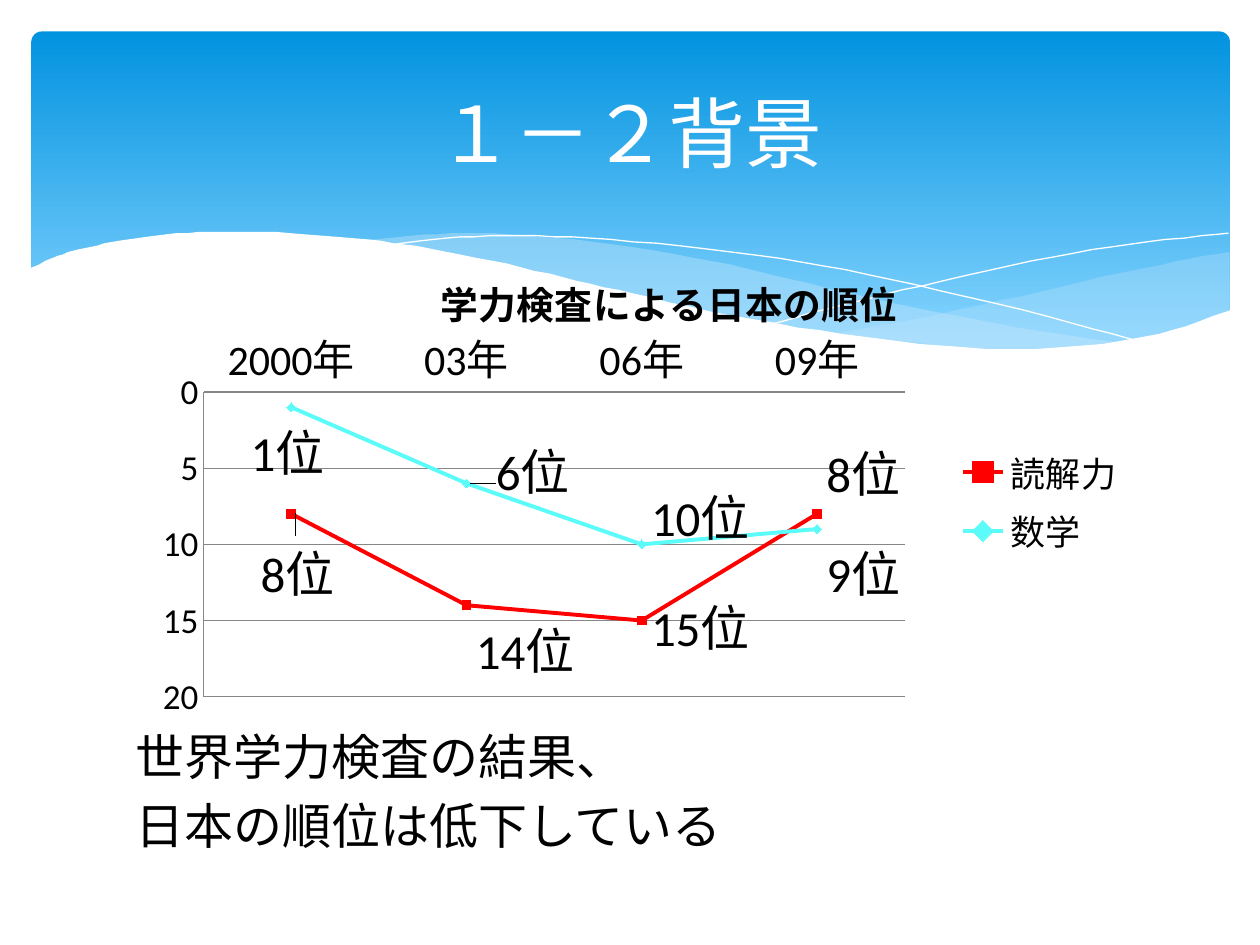
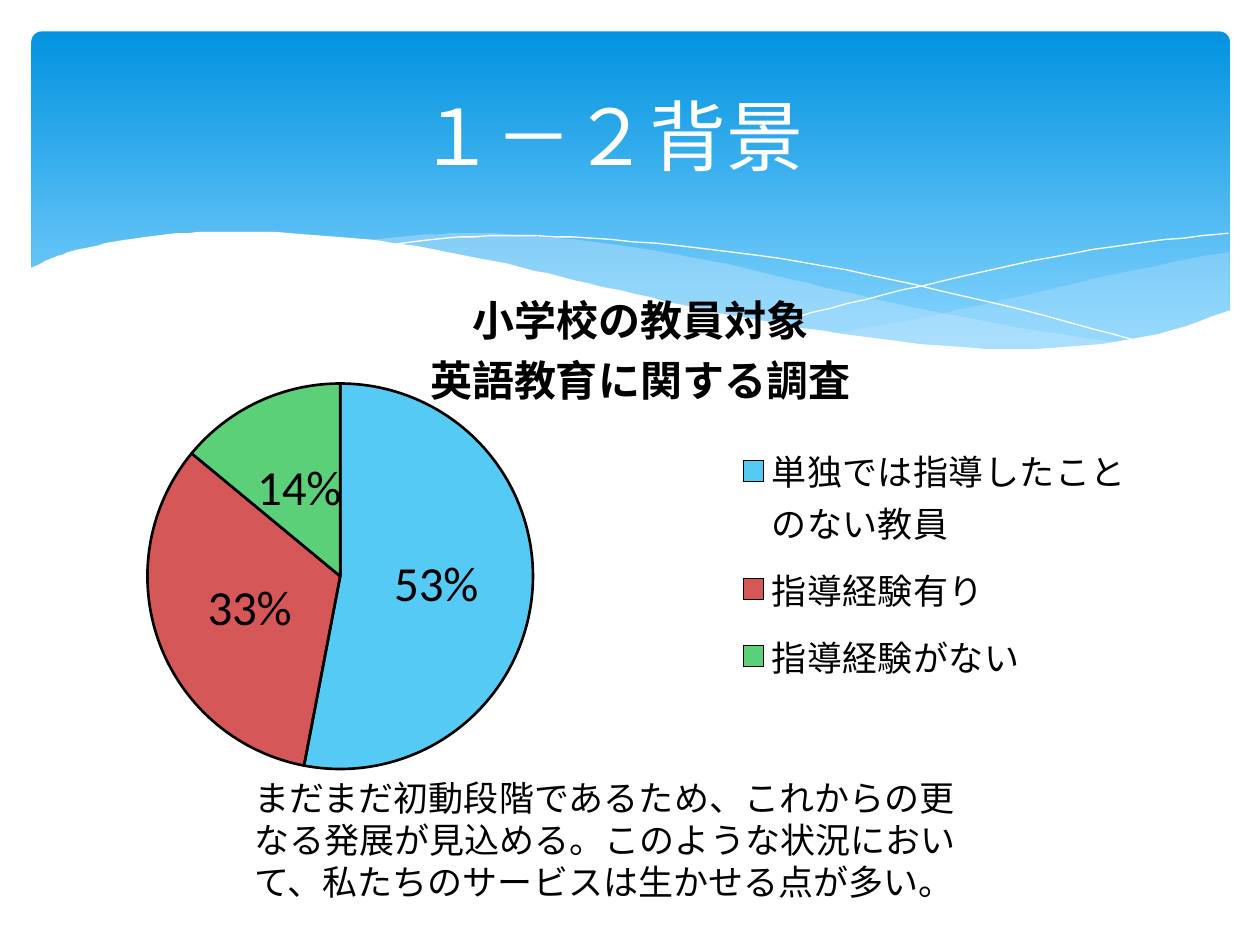
from lxml import etree
from pptx import Presentation
from pptx import util as u
from pptx.chart import data as cd
from pptx.dml import color as dc
from pptx.enum import chart as ec
from pptx.enum import shapes, text
from pptx.oxml import ns

SCALE = 9144
FONT = "Calibri"
BLACK, WHITE, GREY = "000000", "FFFFFF", "878787"
SKY, PALE, MIST = "0293E0", "83D3FE", "C6E7FC"
RED, AQUA = "FF0000", "5AFBF8"
BLUE, WINE, GREEN = "00B0F0", "C00000", "5BD078"
RANK = '#,##0"位"'

RIGHT_TOP = [(975, 200), (935, 207), (861, 223), (779, 242), (706, 257), (661, 265)]
RIGHT_LOW = [(661, 265), (719, 271), (769, 277), (814, 278), (863, 275),
             (905, 269), (942, 259), (976, 247)]
MID_TOP = [(893, 273), (807, 260), (706, 240), (629, 222), (569, 208),
           (514, 198), (442, 189), (380, 185), (328, 187), (286, 191)]
MID_LOW = [(286, 191), (342, 199), (404, 211), (449, 222), (530, 240),
           (601, 255), (665, 266), (722, 274), (785, 278), (848, 277), (893, 273)]
FALL = [(309, 195), (344, 190), (401, 187), (469, 189), (556, 197),
        (636, 208), (727, 226), (831, 251), (907, 272)]
RISE = [(613, 257), (672, 241), (748, 223), (836, 204), (910, 192), (975, 185)]
EDGE = [(977, 246), (930, 262), (875, 273), (809, 277), (744, 274), (668, 265),
        (579, 250), (503, 233), (447, 220), (391, 207), (340, 197), (292, 190),
        (230, 185), (177, 184), (132, 186), (95, 191), (67, 197), (46, 203), (23, 213)]


def px(*vals):
    return [u.Emu(v * SCALE) for v in vals]


def rgb(code):
    return dc.RGBColor.from_string(code)


def paint(fill, code):
    fill.solid()
    fill.fore_color.rgb = rgb(code)


def stroke(line, code, width):
    line.color.rgb = rgb(code)
    line.width = u.Pt(width)


def fade(root, code, share):
    for node in root.iter(ns.qn("a:srgbClr")):
        if node.get("val") == code:
            etree.SubElement(node, ns.qn("a:alpha"), val=str(share * 1000))


def style(font, size, code=BLACK, bold=False):
    font.name, font.size, font.bold = FONT, u.Pt(size), bold
    font.color.rgb = rgb(code)


def write(frame, lines, size, code=BLACK, bold=False, gap=0):
    for i, line in enumerate(lines):
        para = frame.paragraphs[0] if i == 0 else frame.add_paragraph()
        if gap:
            para.space_before = u.Pt(gap)
        run = para.add_run()
        run.text = line
        style(run.font, size, code, bold)


def curve(knots, steps=5):
    ends = [knots[0], *knots, knots[-1]]
    dots = []
    for a, b, c, d in zip(ends, ends[1:], ends[2:], ends[3:]):
        for k in range(steps):
            t = k / steps
            dots.append(tuple(
                (2 * q + (r - p) * t + (2 * p - 5 * q + 4 * r - s) * t ** 2
                 + (3 * q - p - 3 * r + s) * t ** 3) / 2
                for p, q, r, s in zip(a, b, c, d)))
    return dots + [knots[-1]]


def wave(slide, dots, code, share=100):
    pen = slide.shapes.build_freeform(*dots[0], scale=SCALE)
    pen.add_line_segments(dots[1:], close=True)
    shape = pen.convert_to_shape()
    shape.shadow.inherit = False
    paint(shape.fill, code)
    shape.line.fill.background()
    if share < 100:
        fade(shape.element, code, share)
    return shape


def thread(slide, knots):
    dots = curve(knots)
    pen = slide.shapes.build_freeform(*dots[0], scale=SCALE)
    pen.add_line_segments(dots[1:], close=False)
    shape = pen.convert_to_shape()
    shape.shadow.inherit = False
    shape.fill.background()
    stroke(shape.line, WHITE, 0)
    return shape


def panel(slide):
    shape = slide.shapes.add_shape(
        shapes.MSO_SHAPE.ROUNDED_RECTANGLE, *px(25, 25, 951, 270))
    shape.adjustments[0] = 0.03
    shape.shadow.inherit = False
    shape.line.fill.background()
    shape.fill.gradient()
    shape.fill.gradient_angle = 270
    for stop, code, spot in zip(shape.fill.gradient_stops, (SKY, PALE), (0, 0.9)):
        stop.color.rgb = rgb(code)
        stop.position = spot
    return shape


def band(slide, layout):
    parts = [
        panel(slide),
        wave(slide, curve(RIGHT_TOP) + curve(RIGHT_LOW) + [(976, 200)], MIST, 29),
        wave(slide, curve(MID_TOP) + curve(MID_LOW), MIST, 40),
        thread(slide, FALL),
        thread(slide, RISE),
        wave(slide, curve(EDGE) + [(23, 329), (977, 329)], WHITE),
    ]
    for i, part in enumerate(parts):
        part.element.xpath(".//p:cNvPr")[0].set("id", str(20 + i))
        layout.shapes.element.insert(2 + i, part.element)


def head(slide, box):
    title = slide.shapes.title
    title.left, title.top, title.width, title.height = px(*box)
    frame = title.text_frame
    frame.vertical_anchor = text.MSO_ANCHOR.MIDDLE
    write(frame, ["１－２背景"], 44, WHITE)
    frame.paragraphs[0].alignment = text.PP_ALIGN.CENTER


def note(slide, box, lines, size, gap=0):
    frame = slide.shapes.add_textbox(*px(*box)).text_frame
    frame.word_wrap = True
    write(frame, lines, size, gap=gap)


def place(node, index, x, y, w=None, h=None, edge=True, inner=False):
    old = node.find(ns.qn("c:layout"))
    if old is not None:
        index = node.index(old)
        node.remove(old)
    frame = etree.Element(ns.qn("c:layout"))
    node.insert(index, frame)
    spot = etree.SubElement(frame, ns.qn("c:manualLayout"))
    items = [("layoutTarget", "inner")] if inner else []
    items += [("xMode", "edge"), ("yMode", "edge")] if edge else []
    items += [("x", x), ("y", y)]
    items += [("w", w), ("h", h)] if w else []
    for tag, val in items:
        etree.SubElement(spot, ns.qn("c:" + tag), val=str(val))


def graph(slide, kind, box, cats, rows, lines, size, plot, key, form="General"):
    data = cd.CategoryChartData(number_format=form)
    data.categories = cats
    for name, vals in rows:
        data.add_series(name, vals)
    chart = slide.shapes.add_chart(kind, *px(*box), data).chart
    style(chart.font, 18)
    chart.has_title = True
    write(chart.chart_title.text_frame, lines, size, bold=True)
    chart.has_legend = True
    chart.legend.position = ec.XL_LEGEND_POSITION.RIGHT
    chart.legend.include_in_layout = False
    style(chart.legend.font, 20)
    place(chart.legend.element if hasattr(chart.legend, "element")
          else next(chart.element.iter(ns.qn("c:legend"))), 1, *key)
    place(next(chart.element.iter(ns.qn("c:plotArea"))), 0, *plot, inner=True)
    return chart


def axes(chart):
    cat, val = chart.category_axis, chart.value_axis
    for axis, size in ((cat, 24), (val, 20)):
        axis.major_tick_mark = axis.minor_tick_mark = ec.XL_TICK_MARK.NONE
        style(axis.tick_labels.font, size)
        stroke(axis.format.line, GREY, 0.75)
    val.minimum_scale, val.maximum_scale, val.major_unit = 0, 20, 5
    val.reverse_order = True
    val.has_major_gridlines = True
    stroke(val.major_gridlines.format.line, GREY, 0.75)
    val.tick_labels.number_format = "General"
    val.tick_labels.number_format_is_linked = False


def trend(row, code, mark):
    row.smooth = False
    stroke(row.format.line, code, 2.25)
    row.marker.style, row.marker.size = mark, 5
    paint(row.marker.format.fill, code)
    stroke(row.marker.format.line, code, 0.75)


def ranks(chart, shifts):
    for row, moves in zip(chart.plots[0].series, shifts):
        for i in range(len(moves)):
            tag = row.points[i].data_label
            style(tag.font, 28)
            tag.position = ec.XL_LABEL_POSITION.RIGHT
    moves = [move for group in shifts for move in group]
    for node, move in zip(chart.element.iter(ns.qn("c:dLbl")), moves):
        place(node, 1, *move, edge=False)
        form = etree.Element(ns.qn("c:numFmt"), formatCode=RANK, sourceLinked="0")
        node.insert(2, form)


def slices(chart, codes):
    plot = chart.plots[0]
    plot.vary_by_categories = True
    plot.has_data_labels = True
    tags = plot.data_labels
    tags.show_percentage, tags.show_value = True, False
    tags.number_format, tags.number_format_is_linked = "0%", False
    tags.position = ec.XL_LABEL_POSITION.CENTER
    style(tags.font, 28)
    for i, (code, share) in enumerate(codes):
        part = plot.series[0].points[i].format
        paint(part.fill, code)
        stroke(part.line, BLACK, 1.5)
        if share < 100:
            fade(chart.element, code, share)


def main():
    deck = Presentation()
    deck.slide_width, deck.slide_height = px(1000, 750)
    layout = deck.slide_layouts[5]

    tests = deck.slides.add_slide(layout)
    band(tests, layout)
    note(tests, (98, 572, 810, 134),
         ["世界学力検査の結果、", "日本の順位は低下している"], 28, gap=5.6)
    head(tests, (50, 36, 900, 137))
    chart = graph(
        tests, ec.XL_CHART_TYPE.LINE_MARKERS, (106, 194, 795, 378),
        ["2000年", "03年", "06年", "09年"],
        [("読解力", (8, 14, 15, 8)), ("数学", (1, 6, 10, 9))],
        ["学力検査による日本の順位"], 21.6,
        (0.07, 0.31, 0.7, 0.64), (0.82, 0.41, 0.17, 0.26), RANK)
    place(next(chart.element.iter(ns.qn("c:title"))), 1, 0.3, 0.04)
    axes(chart)
    marks = (ec.XL_MARKER_STYLE.SQUARE, ec.XL_MARKER_STYLE.DIAMOND)
    for row, code, mark in zip(chart.plots[0].series, (RED, AQUA), marks):
        trend(row, code, mark)
    ranks(chart, [[(-0.04, 0.12), (0, 0.09), (0, 0.01), (0, -0.09)],
                  [(-0.05, 0.09), (0.02, -0.03), (0, -0.06), (0, 0.09)]])

    survey = deck.slides.add_slide(layout)
    chart = graph(
        survey, ec.XL_CHART_TYPE.PIE, (83, 210, 850, 409),
        ["単独では指導したことのない教員", "指導経験有り", "指導経験がない"],
        [("Series 1", (53, 33, 14))],
        ["小学校の教員対象", "英語教育に関する調査"], 24,
        (0.04, 0.23, 0.36, 0.75), (0.59, 0.32, 0.37, 0.52))
    slices(chart, [(BLUE, 67), (WINE, 66), (GREEN, 100)])
    head(survey, (20, -3, 930, 220))
    note(survey, (192, 611, 591, 111),
         ["まだまだ初動段階であるため、これからの更なる発展が見込める。"
          "このような状況において、私たちのサービスは生かせる点が多い。"], 20)
    deck.save("out.pptx")


if __name__ == "__main__":
    main()
